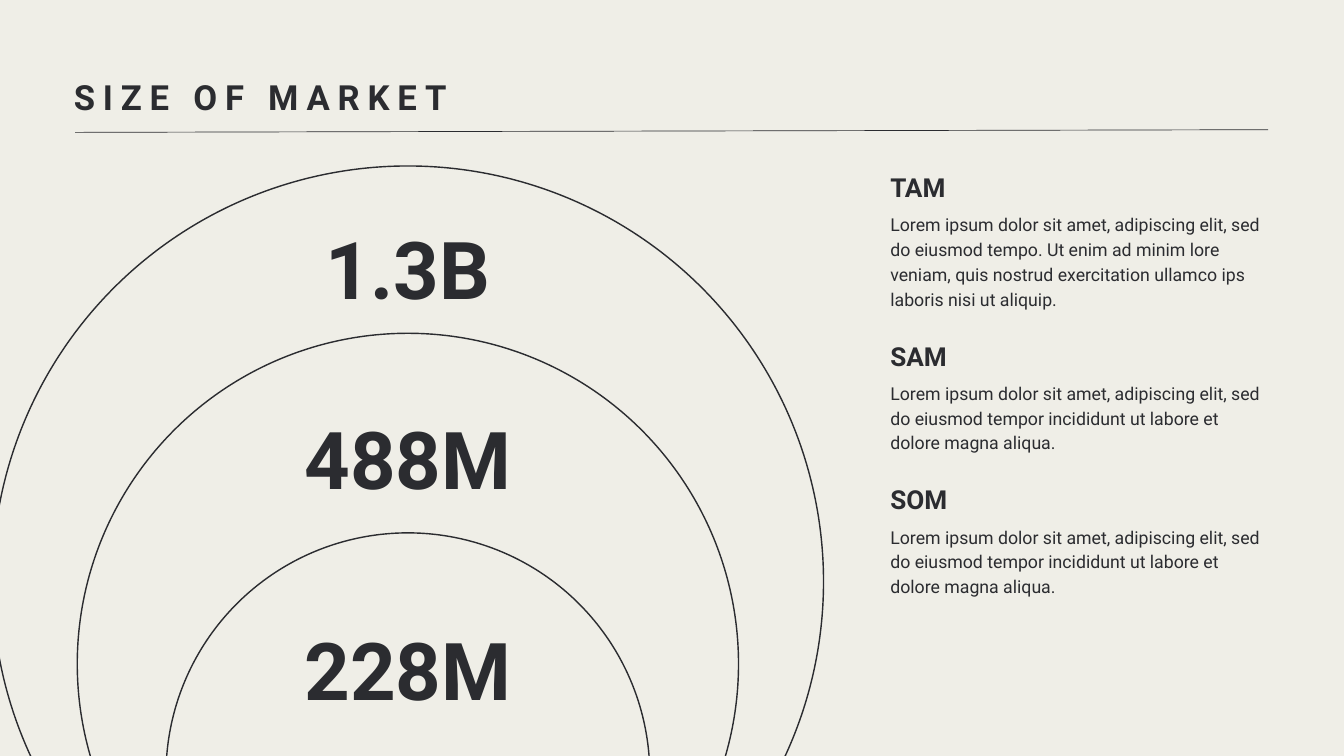
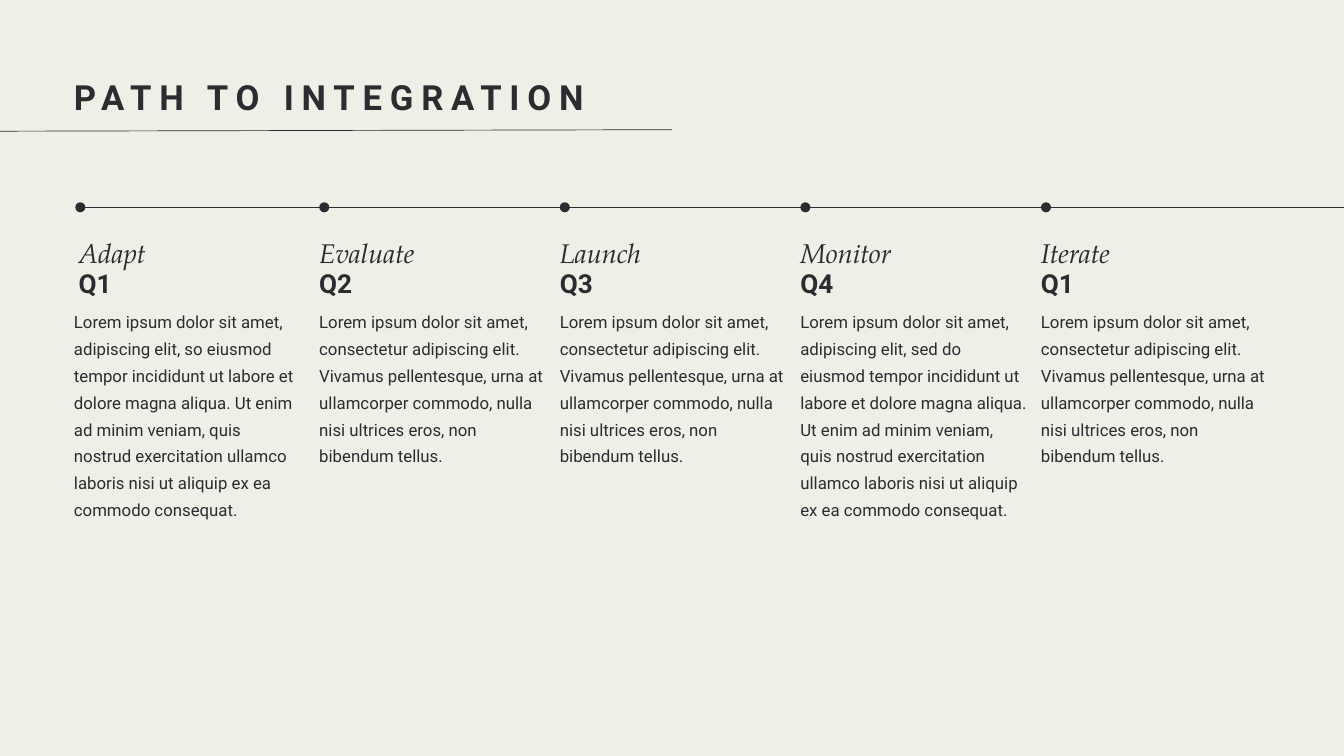
from pptx import Presentation
from pptx.dml.color import RGBColor
from pptx.enum import shapes, text
from pptx.oxml import ns
from pptx.util import Inches, Pt
from lxml import etree

INK = RGBColor(0x2B, 0x2C, 0x30)
PAPER = RGBColor(0xEF, 0xEE, 0xE7)
SANS, SERIF = "Roboto", "TeX Gyre Pagella"
LEFT = 1.1
LOREM = "Lorem ipsum dolor sit amet, "
SHORT = LOREM + "adipiscing elit, sed do eiusmod tempor incididunt ut labore et dolore magna aliqua."
LONG = (" Ut enim ad minim veniam, quis nostrud exercitation ullamco laboris nisi "
        "ut aliquip ex ea commodo consequat.")
URNA = (LOREM + "consectetur adipiscing elit. Vivamus pellentesque, urna at ullamcorper "
        "commodo, nulla nisi ultrices eros, non bibendum tellus.")

MARKET = [  # name, lines of text, text
    ("TAM", 4, LOREM + "adipiscing elit, sed do eiusmod tempo. Ut enim ad minim lore veniam, "
     "quis nostrud exercitation ullamco ips laboris nisi ut aliquip."),
    ("SAM", 3, SHORT),
    ("SOM", 3, SHORT),
]
RINGS = [  # value, circle top, diameter, label top
    ("1.3B", 2.47, 12.37, 2.8),
    ("488M", 4.96, 9.84, 5.62),
    ("228M", 7.93, 7.2, 8.76),
]
STEPS = [
    ("Adapt", "Q1", LOREM + "adipiscing elit, so eiusmod tempor incididunt ut labore et "
     "dolore magna aliqua." + LONG),
    ("Evaluate", "Q2", URNA),
    ("Launch", "Q3", URNA),
    ("Monitor", "Q4", SHORT + LONG),
    ("Iterate", "Q1", URNA),
]


def write(frame, words, size, lead, font=SANS, bold=False, italic=False, space=0,
          align=text.PP_ALIGN.LEFT):
    """Fill a text frame with one run; lead is line spacing and space tracking, in points."""
    frame.word_wrap = True
    frame.auto_size = text.MSO_AUTO_SIZE.NONE
    frame.vertical_anchor = text.MSO_ANCHOR.TOP
    frame.margin_left = frame.margin_right = frame.margin_top = frame.margin_bottom = 0
    para = frame.paragraphs[0]
    para.alignment = align
    para.line_spacing = Pt(lead)
    para.space_before = Pt(0)
    run = para.add_run()
    run.text = words
    run.font.name, run.font.size = font, Pt(size)
    run.font.bold, run.font.italic = bold, italic
    run.font.color.rgb = INK
    if space:
        run._r.get_or_add_rPr().set("spc", str(round(space * 100)))


def label(slide, box, words, size, lead, **style):
    shape = slide.shapes.add_textbox(*map(Inches, box))
    write(shape.text_frame, words, size, lead, **style)


def rule(slide, x1, y1, x2, y2):
    line = slide.shapes.add_connector(shapes.MSO_CONNECTOR.STRAIGHT,
                                      *map(Inches, (x1, y1, x2, y2)))
    line.line.color.rgb = INK
    line.line.width = Pt(0.75)
    etree.SubElement(line._element.spPr, ns.qn("a:effectLst"))


def disc(slide, x, y, size, solid):
    shape = slide.shapes.add_shape(shapes.MSO_SHAPE.OVAL,
                                   *map(Inches, (x, y, size, size)))
    shape.shadow.inherit = False
    if solid:
        shape.fill.solid()
        shape.fill.fore_color.rgb = INK
        shape.line.fill.background()
    else:
        shape.fill.background()
        shape.line.color.rgb = INK
        shape.line.width = Pt(1.5)


def page(prs, title, start, end):
    """Add a slide with its title and the rule below it, from start to end."""
    slide = prs.slides.add_slide(prs.slide_layouts[5])
    head = slide.shapes.title
    head.left, head.top, head.width, head.height = map(Inches, (LEFT, 1.03, 17.75, 0.71))
    write(head.text_frame, title, 37.1, 52, bold=True, space=8.4)
    rule(slide, start, 1.97, end, 1.93)
    return slide


def rings(slide, mid):
    """Draw the nested circles and their values, centred on mid."""
    for _, top, size, _ in RINGS:
        disc(slide, mid - size / 2, top, size, False)
    wide = 6.4
    for value, _, _, top in RINGS:
        label(slide, (mid - wide / 2, top, wide, 1.77), value, 85.4, 136.6,
              bold=True, align=text.PP_ALIGN.CENTER)


def terms(slide, x, y, wide):
    row = 0.37
    for name, lines, words in MARKET:
        label(slide, (x, y, wide, 0.52), name, 28, 39.2, bold=True)
        label(slide, (x, y + 0.66, wide, lines * row), words, 19, 26.6)
        y += 0.66 + (lines + 1) * row


def path(slide, x, y, gap):
    """Draw the dotted line and, below each dot, a step."""
    dot = 0.15
    for i, (name, term, words) in enumerate(STEPS):
        col = x + i * gap
        first = i == 0
        label(slide, (col, y + 0.51, 3.05, 0.47), name, 29, 34.8, font=SERIF, italic=True)
        label(slide, (col, y + 0.97, 3.05, 0.47), term, 28, 33.6, bold=True)
        label(slide, (LEFT if first else col, y + 1.53, 3.38, 3.14), words, 18, 28.8)
        disc(slide, col - 0.05 if first else col, y, dot, True)
    rule(slide, x + 0.06, y + dot / 2, 20.26, y + dot / 2)


def main():
    prs = Presentation()
    prs.slide_width, prs.slide_height = Inches(20), Inches(11.25)
    back = prs.slide_master.background.fill
    back.solid()
    back.fore_color.rgb = PAPER

    market = page(prs, "SIZE OF MARKET", 1.12, 18.87)
    rings(market, 6.07)
    terms(market, 13.25, 2.47, 5.63)

    plan = page(prs, "PATH TO INTEGRATION", -7.75, 10)
    path(plan, 1.17, 3.01, 3.58)

    prs.save("out.pptx")


if __name__ == "__main__":
    main()
